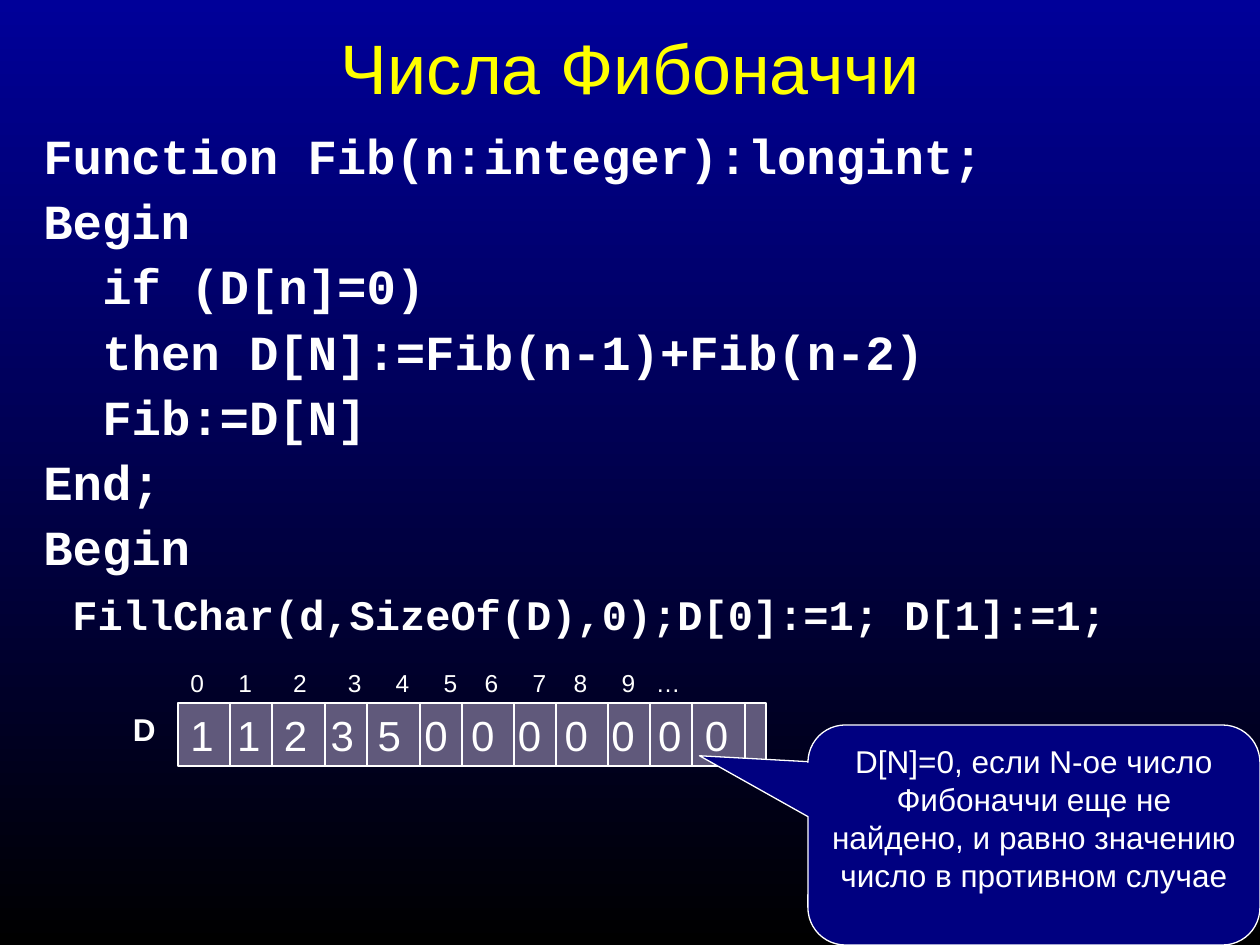
from itertools import accumulate

from lxml import etree
from pptx import Presentation
from pptx.dml.color import RGBColor
from pptx.enum.shapes import MSO_CONNECTOR, MSO_SHAPE
from pptx.enum.text import MSO_ANCHOR, PP_ALIGN
from pptx.oxml.ns import qn
from pptx.util import Pt

RECT = MSO_SHAPE.RECTANGLE
CALLOUT = MSO_SHAPE.ROUNDED_RECTANGULAR_CALLOUT
STRAIGHT = MSO_CONNECTOR.STRAIGHT
TOP, MIDDLE = MSO_ANCHOR.TOP, MSO_ANCHOR.MIDDLE
LEFT, CENTER, RIGHT = PP_ALIGN.LEFT, PP_ALIGN.CENTER, PP_ALIGN.RIGHT


def px(n):
    return round(n * 914400 / 126)


def rgb(value):
    return RGBColor.from_string(value)


class Deck:
    font, code_font = "Arial", "Courier New"
    white, yellow, navy, cell = "FFFFFF", "FFFF00", "000080", "60597B"
    line_width = Pt(0.75)
    space_width = 0.28  # of the text size

    def __init__(self, prs):
        self.slide = prs.slides.add_slide(prs.slide_layouts[6])

    def background(self, top, bottom):
        fill = self.slide.background.fill
        fill.gradient()
        fill.gradient_angle = 270
        for stop, color, place in zip(fill.gradient_stops, (top, bottom), (0, 1)):
            stop.color.rgb = rgb(color)
            stop.position = place

    def frame(self, sp, anchor=TOP):
        tf = sp.text_frame
        tf.word_wrap = True
        tf.vertical_anchor = anchor
        return tf

    def paragraph(self, p, text, size, color=white, font=font, bold=False,
                  align=LEFT, before=0, spacing=1.0, indent=0, gaps=()):
        if gaps:
            self.spread(p, text, size, gaps)
        else:
            p.text = text
        p.alignment = align
        p.space_before = Pt(before)
        p.line_spacing = spacing
        pPr = p._p.get_or_add_pPr()
        pPr.set("marL", str(px(indent)))
        pPr.set("indent", "0")
        for r in p.runs:
            r.font.name = font
            r.font.size = Pt(size)
            r.font.bold = bold
            r.font.color.rgb = rgb(color)

    def spread(self, p, values, size, gaps):
        """Set values in a row; each gap is a space widened to that many spaces."""
        p.add_run().text = values[0]
        for value, gap in zip(values[1:], gaps):
            r = p.add_run()
            r.text = " "
            extra = round((gap - 1) * self.space_width * size * 100)
            r._r.get_or_add_rPr().set("spc", str(extra))
            p.add_run().text = value

    def text(self, x, y, w, h, text, size, anchor=TOP, **style):
        sp = self.slide.shapes.add_textbox(px(x), px(y), px(w), px(h))
        self.paragraph(self.frame(sp, anchor).paragraphs[0], text, size, **style)

    def code(self, x, y, w, h, lines):
        sp = self.slide.shapes.add_textbox(px(x), px(y), px(w), px(h))
        tf = self.frame(sp)
        for i, (text, indent, size, before) in enumerate(lines):
            p = tf.add_paragraph() if i else tf.paragraphs[0]
            self.paragraph(p, text, size, font=self.code_font, bold=True,
                           before=before, spacing=0.9, indent=indent)

    def shape(self, kind, x, y, w, h, fill, text, size, parent=None, **style):
        shapes = (parent or self.slide).shapes
        sp = shapes.add_shape(kind, px(x), px(y), px(w), px(h))
        sp.shadow.inherit = False
        sp.fill.solid()
        sp.fill.fore_color.rgb = rgb(fill)
        sp.line.color.rgb = rgb(self.white)
        sp.line.width = self.line_width
        self.paragraph(self.frame(sp).paragraphs[0], text, size, **style)
        return sp

    def divider(self, parent, x, top, bottom):
        line = parent.shapes.add_connector(STRAIGHT, px(x), px(top), px(x), px(bottom))
        line.line.color.rgb = rgb(self.white)
        line.line.width = self.line_width
        etree.SubElement(line._element.spPr, qn("a:effectLst"))


def main():
    prs = Presentation()
    prs.slide_width, prs.slide_height = px(1260), px(945)
    deck = Deck(prs)
    deck.background("000099", "000000")

    # Title
    deck.text(63, 38, 1134, 57, "Числа Фибоначчи", 40, MIDDLE,
              color=deck.yellow, align=CENTER)

    # Program listing: text, indent, size, space before
    deck.code(31, 126, 1207, 525, [
        ("Function Fib(n:integer):longint;", 0, 28, 7),
        ("Begin", 0, 28, 7),
        ("if (D[n]=0)", 59, 28, 7),
        ("then D[N]:=Fib(n-1)+Fib(n-2)", 59, 28, 7),
        ("Fib:=D[N]", 59, 28, 7),
        ("End;", 0, 28, 7),
        ("Begin", 0, 28, 7),
        ("FillChar(d,SizeOf(D),0);D[0]:=1; D[1]:=1;", 29, 24, 10),
    ])

    # Array indices
    deck.text(178, 662, 557, 43, [*"0123456789", "…"], 14, before=8.8,
              gaps=[5, 6, 6, 5, 5, 4, 5, 4, 5, 3])

    # Array cells
    left, top, width, height = 178, 703, 588, 63
    array = deck.slide.shapes.add_group_shape()
    deck.shape(RECT, left, top, width, height, deck.cell, "112350000000",
               24, array, before=15, gaps=[2] * 11)
    parts = [5, 4] * 5 + [4, 5]
    for offset in accumulate(parts):
        deck.divider(array, left + round(offset * width / 56), top, top + height)
    deck.text(105, 704, 63, 50, "D", 18, bold=True, align=RIGHT, before=11.2)

    # Callout
    sp = deck.shape(CALLOUT, 808, 725, 452, 220, deck.navy,
                    "D[N]=0, если N-ое число Фибоначчи еще не найдено, "
                    "и равно значению число в противном случае", 18, align=CENTER)
    for i, value in enumerate((-0.74, -0.36, 0.17)):
        sp.adjustments[i] = value

    prs.save("out.pptx")


if __name__ == "__main__":
    main()
